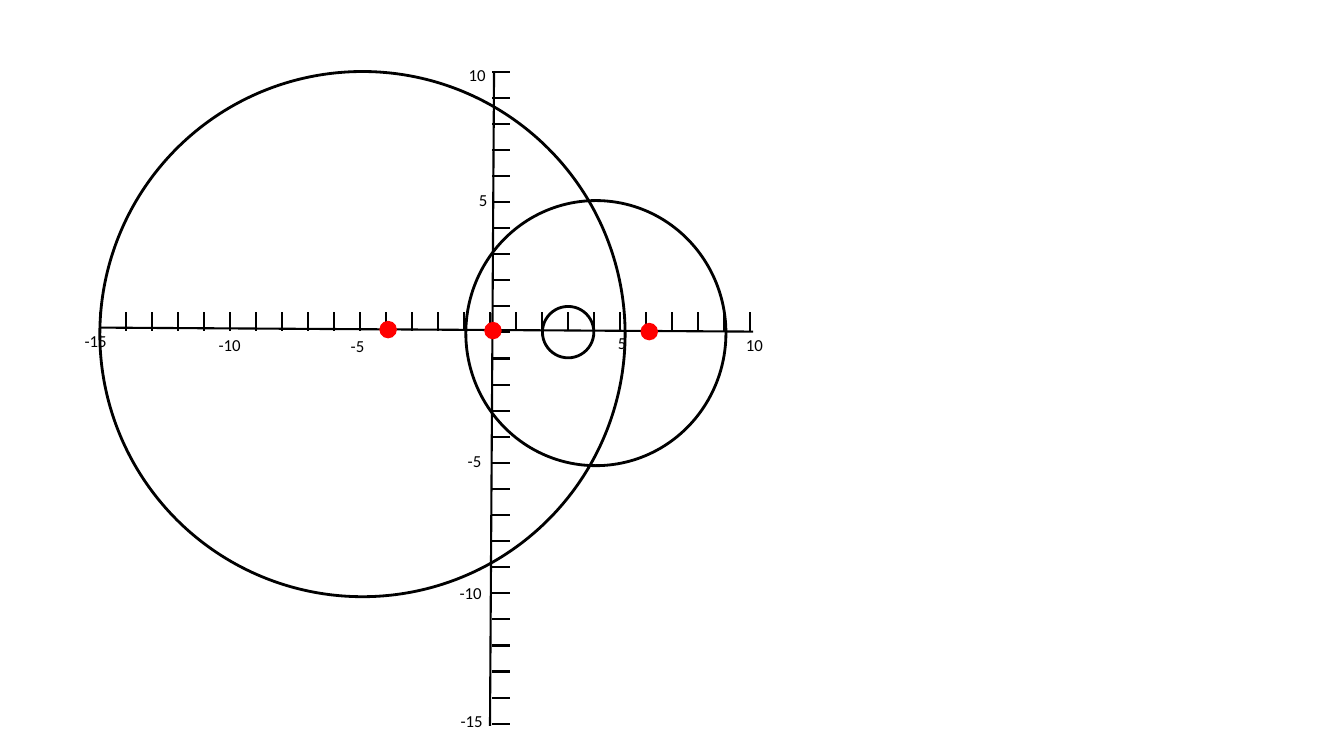
"""Draw three circles and three red points on a pair of ruled axes."""
from pptx import Presentation
from pptx.dml.color import RGBColor
from pptx.enum.shapes import MSO_CONNECTOR as Link, MSO_SHAPE as Kind
from pptx.enum.text import MSO_AUTO_SIZE as Fit
from pptx.oxml.ns import qn
from pptx.util import Inches, Pt
from lxml import etree

BLACK, RED = "000000", "FF0000"
TICKS, LONG = 26, 0.18
AXES = [(4.9, 0.71, 4.86, 7.2), (0.99, 3.25, 7.47, 3.29)]
ROWS = (0.71, 7.18)
COLS = (0.99, 7.44)
RINGS = [
    (0.99, 0.71, 5.21, 5.21),
    (4.62, 1.99, 2.58, 2.63),
    (5.38, 3.04, 0.51, 0.51),
]
DOT = 0.16
DOTS = [(3.77, 3.19), (4.81, 3.2), (6.36, 3.21)]
LABELS = [
    ("10", 4.55, 0.59, 0.68),
    ("5", 4.65, 1.83, 0.68),
    ("-5", 4.54, 4.42, 0.68),
    ("-10", 4.46, 5.73, 1),
    ("-15", 4.47, 7, 1),
    ("-10", 2.07, 3.27, 1),
    ("-5", 3.38, 3.28, 0.68),
    ("-15", 0.74, 3.23, 1),
    ("10", 7.3, 3.27, 0.68),
    ("5", 6.03, 3.25, 0.68),
]


def color(code):
    return RGBColor.from_string(code)


def add_line(group, *ends):
    line = group.shapes.add_connector(Link.STRAIGHT, *map(Inches, ends))
    line.line.color.rgb = color(BLACK)
    line.line.width = Pt(1.5)
    etree.SubElement(line._element.spPr, qn("a:effectLst"))


def add_oval(group, box, edge, width, fill=None):
    oval = group.shapes.add_shape(Kind.OVAL, *map(Inches, box))
    oval.shadow.inherit = False
    oval.line.color.rgb = color(edge)
    oval.line.width = Pt(width)
    if fill:
        oval.fill.solid()
        oval.fill.fore_color.rgb = color(fill)
    else:
        oval.fill.background()


def add_label(group, text, left, top, width):
    box = group.shapes.add_textbox(*map(Inches, (left, top, width, 0.3)))
    frame = box.text_frame
    frame.word_wrap = True
    frame.auto_size = Fit.SHAPE_TO_FIT_TEXT
    run = frame.paragraphs[0].add_run()
    run.text = text
    run.font.name = "Calibri"
    run.font.size = Pt(12)
    run.font.color.rgb = color(BLACK)


def spread(first, last):
    step = (last - first) / (TICKS - 1)
    return [first + step * i for i in range(TICKS)]


def main():
    deck = Presentation()
    deck.slide_width, deck.slide_height = Inches(13.33), Inches(7.5)
    slide = deck.slides.add_slide(deck.slide_layouts[6])
    graph = slide.shapes.add_group_shape()
    for ends in AXES:
        add_line(graph, *ends)
    for y in spread(*ROWS):
        add_line(graph, 4.88, y, 4.88 + LONG, y)
    for x in spread(*COLS):
        add_line(graph, x, 3.28, x, 3.28 - LONG)
    for box in RINGS:
        add_oval(graph, box, BLACK, 2)
    for left, top in DOTS:
        add_oval(graph, (left, top, DOT, DOT), RED, 1, RED)
    for label in LABELS:
        add_label(graph, *label)
    deck.save("out.pptx")


if __name__ == "__main__":
    main()
